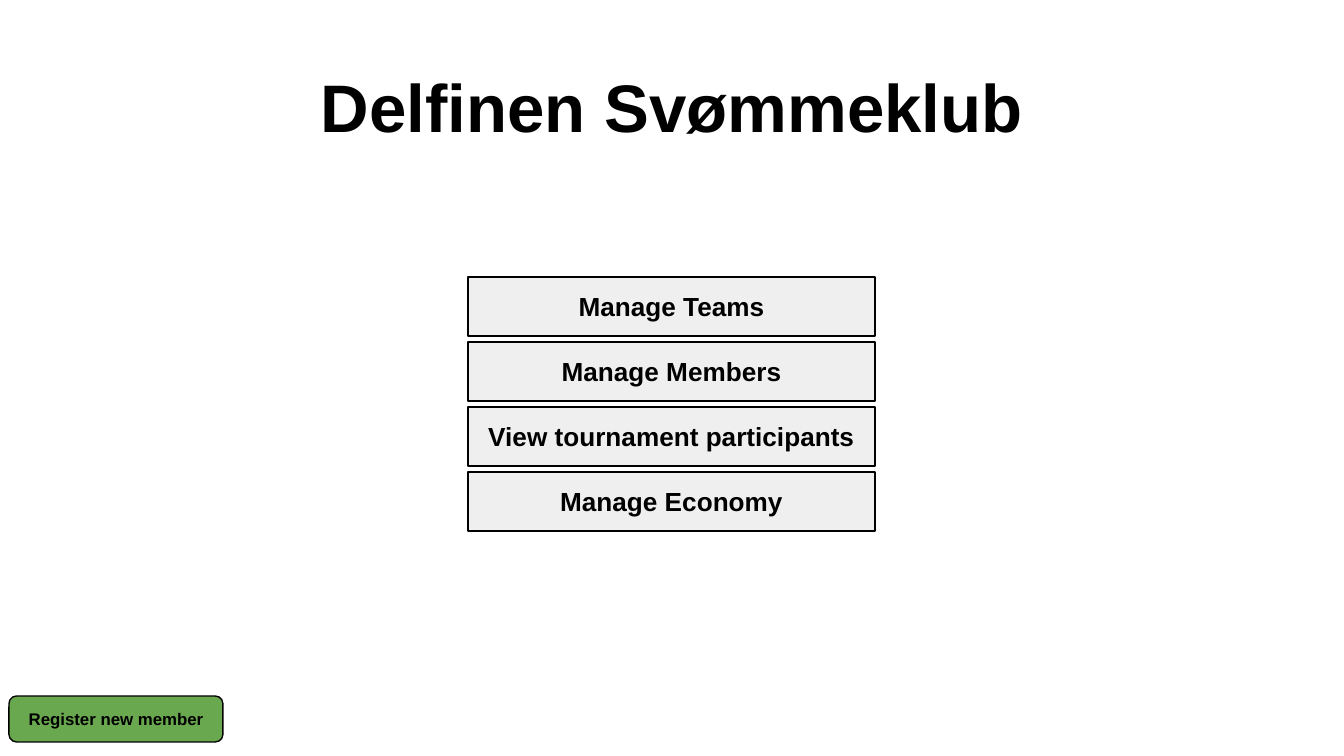
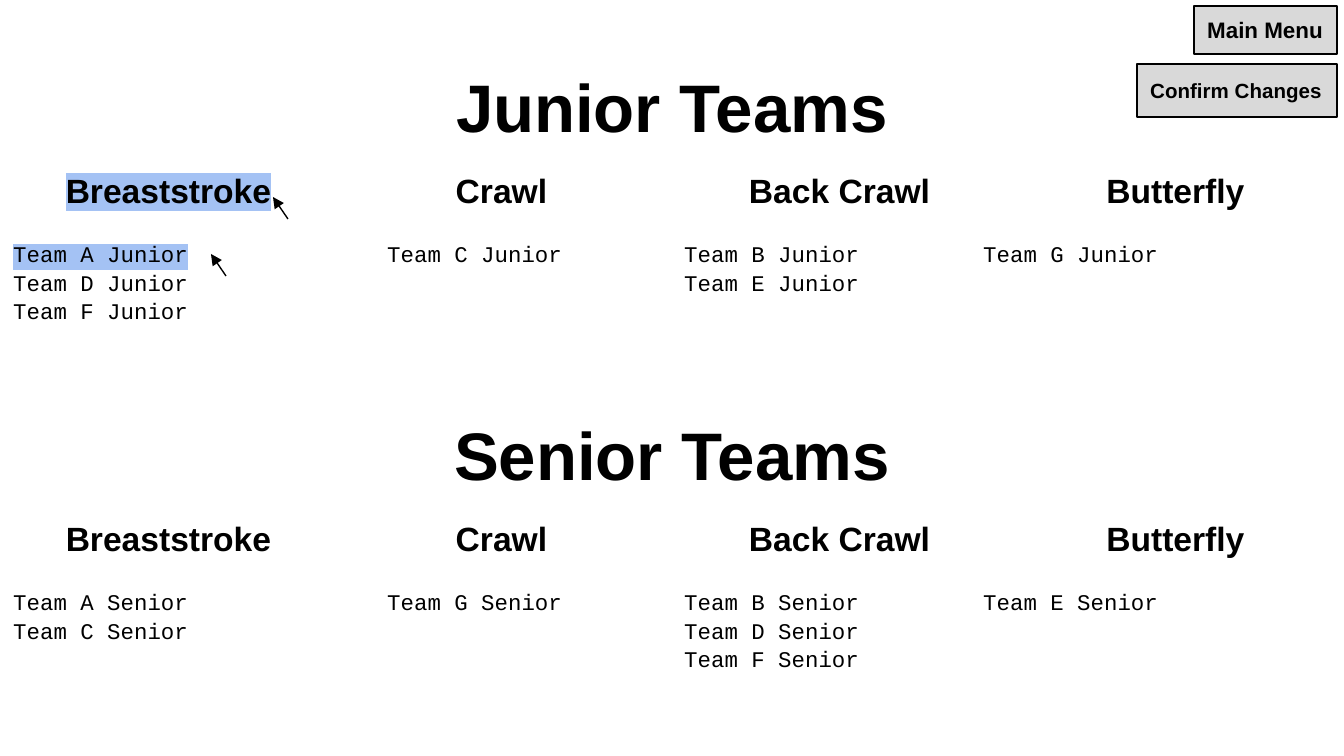
from lxml.etree import SubElement
from pptx import Presentation
from pptx.dml.color import RGBColor
from pptx.enum.shapes import MSO_CONNECTOR, MSO_SHAPE
from pptx.enum.text import MSO_ANCHOR, PP_ALIGN
from pptx.oxml.ns import qn
from pptx.util import Pt

BLACK = RGBColor(0x00, 0x00, 0x00)
MENU_GREY = RGBColor(0xEF, 0xEF, 0xEF)
BUTTON_GREY = RGBColor(0xD9, 0xD9, 0xD9)
GREEN = RGBColor(0x6A, 0xA8, 0x4F)
HIGHLIGHT = RGBColor(0xA4, 0xC2, 0xF4)
SANS, MONO = "Arial", "Courier New"

# Content
CLUB = "Delfinen Svømmeklub"
MENU = ["Manage Teams", "Manage Members", "View tournament participants",
        "Manage Economy"]
REGISTER = "Register new member"
STROKES = ["Breaststroke", "Crawl", "Back Crawl", "Butterfly"]
TEAMS = {
    "Junior": ["ADF", "C", "BE", "G"],
    "Senior": ["AC", "G", "BDF", "E"],
}
SELECTED = ("Junior", "Breaststroke")  # its heading and first team are marked
CORNER_BUTTONS = [  # text, box, size
    ("Main Menu", (1194, 6, 143, 48), 12),
    ("Confirm Changes", (1137, 64, 200, 53), 11),
]
POINTERS = [(226, 276), (288, 219)]  # where each arrow starts

# Layout, in pixels
SLIDE_W, SLIDE_H = 1344, 756
SCALE = 914400 / 134.4
INSET = 13.44
TITLE_TOP, TITLE_H = 47, 106
SECTION_STEP = 348
COLUMN_W = 337
HEADING_TOP, HEADING_H = 155, 70
HEADING_LEFTS = [0, 333, 671, 1007]
LIST_TOP, LIST_H, LIST_INSET = 223, 188, 16
LIST_LEFTS = [0, 374, 671, 970]
MENU_LEFT, MENU_TOP, MENU_W, MENU_H, MENU_STEP = 468, 277, 407, 59, 65
POINTER_DX, POINTER_DY = -15, -22


def px(n):
    """Turn pixels into EMU."""
    return round(n * SCALE)


def write(sp, lines, size, font=SANS, bold=True, align=PP_ALIGN.CENTER,
          anchor=MSO_ANCHOR.MIDDLE, spacing=1.0, top=INSET, wrap=True,
          marked=False):
    """Write one paragraph per line; marked highlights the first line."""
    tf = sp.text_frame
    tf.word_wrap = wrap
    tf.vertical_anchor = anchor
    tf.margin_left = tf.margin_right = tf.margin_bottom = px(INSET)
    tf.margin_top = px(top)
    for i, line in enumerate(lines):
        p = tf.paragraphs[0] if i == 0 else tf.add_paragraph()
        p.alignment = align
        p.line_spacing = spacing
        r = p.add_run()
        r.text = line
        r.font.size = Pt(size)
        r.font.bold = bold
        r.font.name = font
        r.font.color.rgb = BLACK
        if marked and i == 0:
            highlight(r)


def highlight(r):
    """Give a run the selection colour behind its text."""
    rpr = r.font._element if hasattr(r.font, "_element") else r._r.get_or_add_rPr()
    mark = SubElement(rpr, qn("a:highlight"))
    SubElement(mark, qn("a:srgbClr")).set("val", str(HIGHLIGHT))
    rpr.find(qn("a:latin")).addprevious(mark)


def add_text(s, box, lines, size, **style):
    """Add a text box."""
    write(s.shapes.add_textbox(*map(px, box)), lines, size, **style)


def add_button(s, box, text, size, fill, shape=MSO_SHAPE.RECTANGLE, **style):
    """Add a filled, outlined button with its label."""
    sp = s.shapes.add_shape(shape, *map(px, box))
    sp.shadow.inherit = False
    sp.fill.solid()
    sp.fill.fore_color.rgb = fill
    sp.line.color.rgb = BLACK
    sp.line.width = Pt(0.75)
    write(sp, [text], size, **style)


def add_title(s, text, top=TITLE_TOP):
    """Add a full-width title."""
    add_text(s, (0, top, SLIDE_W, TITLE_H), [text], 36, spacing=1.15)


def add_pointer(s, x, y):
    """Add a short arrow pointing up and left from x, y."""
    line = s.shapes.add_connector(MSO_CONNECTOR.STRAIGHT, px(x), px(y),
                                  px(x + POINTER_DX), px(y + POINTER_DY))
    line.line.color.rgb = BLACK
    line.line.width = Pt(0.75)
    SubElement(line.line._get_or_add_ln(), qn("a:tailEnd")).set("type", "triangle")
    SubElement(line._element.spPr, qn("a:effectLst"))


def add_section(s, group, columns, dy):
    """Add the title, stroke headings and team lists of one age group."""
    add_title(s, f"{group} Teams", TITLE_TOP + dy)
    for stroke, letters, head_x, list_x in zip(STROKES, columns,
                                               HEADING_LEFTS, LIST_LEFTS):
        marked = (group, stroke) == SELECTED
        add_text(s, (head_x, HEADING_TOP + dy, COLUMN_W, HEADING_H),
                 [stroke], 18, marked=marked)
        add_text(s, (list_x, LIST_TOP + dy, COLUMN_W, LIST_H),
                 [f"Team {letter} {group}" for letter in letters], 12,
                 font=MONO, bold=False, align=PP_ALIGN.LEFT,
                 anchor=MSO_ANCHOR.TOP, spacing=1.06, top=LIST_INSET,
                 marked=marked)


def build_menu(s):
    """Build the main menu slide."""
    add_title(s, CLUB)
    for i, text in enumerate(MENU):
        add_button(s, (MENU_LEFT, MENU_TOP + i * MENU_STEP, MENU_W, MENU_H),
                   text, 14, MENU_GREY)
    add_button(s, (9, 696, 214, 46), REGISTER, 9, GREEN,
               MSO_SHAPE.ROUNDED_RECTANGLE)


def build_teams(s):
    """Build the slide that lists the teams."""
    for i, (group, columns) in enumerate(TEAMS.items()):
        add_section(s, group, columns, i * SECTION_STEP)
    for x, y in POINTERS:
        add_pointer(s, x, y)
    for text, box, size in CORNER_BUTTONS:
        add_button(s, box, text, size, BUTTON_GREY, align=PP_ALIGN.LEFT,
                   wrap=False)


prs = Presentation()
prs.slide_width, prs.slide_height = px(SLIDE_W), px(SLIDE_H)
for build in (build_menu, build_teams):
    build(prs.slides.add_slide(prs.slide_layouts[6]))
prs.save("out.pptx")
